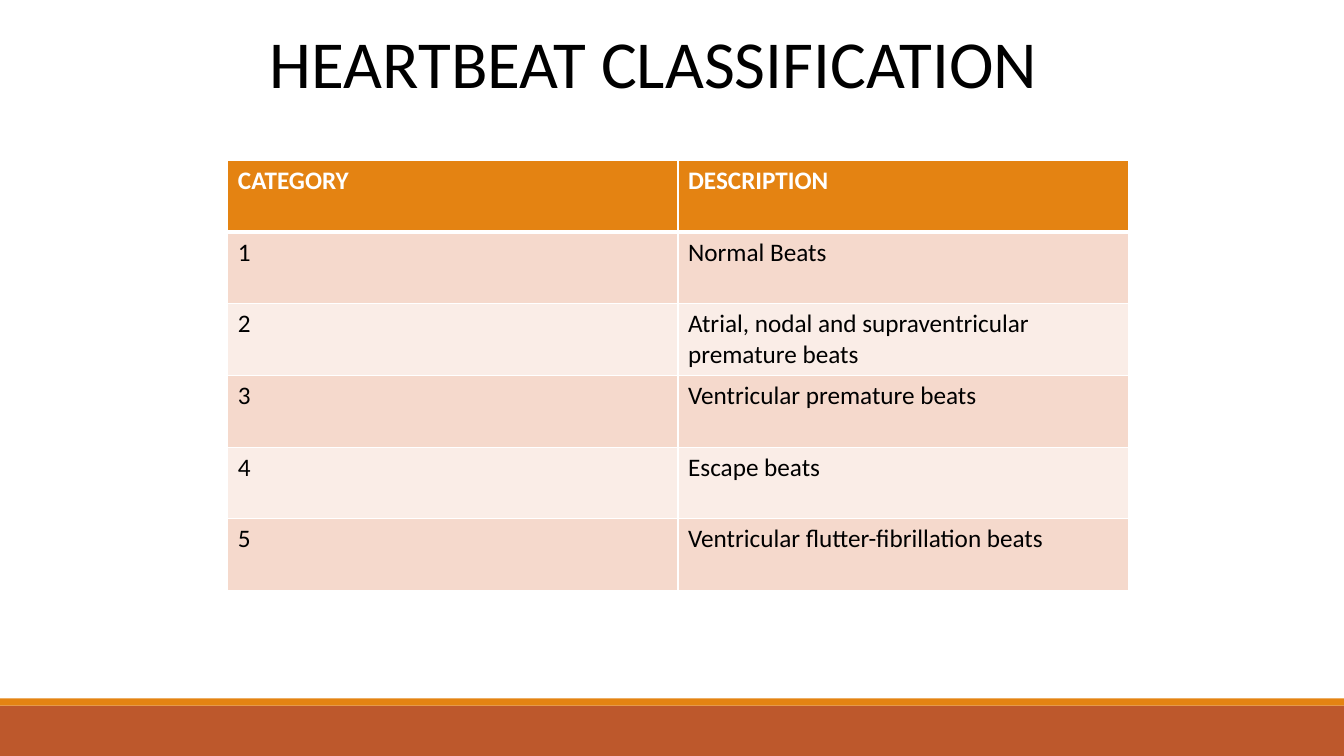
from pptx import Presentation
from pptx.dml.color import RGBColor
from pptx.enum.shapes import MSO_SHAPE
from pptx.enum.text import MSO_ANCHOR, PP_ALIGN
from pptx.oxml import parse_xml
from pptx.oxml.ns import nsdecls
from pptx.util import Inches, Pt

RECT = MSO_SHAPE.RECTANGLE
CENTER = PP_ALIGN.CENTER
MIDDLE = MSO_ANCHOR.MIDDLE

FONT = "Calibri"
ORANGE, RUST = "E48312", "BD582C"
BANDS = ("F5D9CC", "FAEDE7")
WHITE, BLACK = "FFFFFF", "000000"

BEATS = [
    ("CATEGORY", "DESCRIPTION"),
    ("1", "Normal Beats"),
    ("2", "Atrial, nodal and supraventricular premature beats"),
    ("3", "Ventricular premature beats"),
    ("4", "Escape beats"),
    ("5", "Ventricular flutter-fibrillation beats"),
]


def paint(fill, color):
    fill.solid()
    fill.fore_color.rgb = RGBColor.from_string(color)


def add_run(para, text, size, color, bold=False):
    run = para.add_run()
    run.text = text
    font = run.font
    font.name, font.size, font.bold = FONT, Pt(size), bold
    font.color.rgb = RGBColor.from_string(color)


def add_bar(slide, left, top, width, height, color):
    bar = slide.shapes.add_shape(
        RECT, Inches(left), Inches(top), Inches(width), Inches(height))
    bar.shadow.inherit = False
    paint(bar.fill, color)
    bar.line.fill.background()


def add_footer(slide, left, top, width, height):
    strip = 0.07
    add_bar(slide, left, top + strip, width, height - strip, RUST)
    add_bar(slide, left, top, width, strip, ORANGE)


def add_title(slide, left, top, width, height):
    title = slide.shapes.title
    title.left, title.top = Inches(left), Inches(top)
    title.width, title.height = Inches(width), Inches(height)
    frame = title.text_frame
    frame.word_wrap = True
    frame.vertical_anchor = MIDDLE
    para = frame.paragraphs[0]
    para.alignment = CENTER
    add_run(para, "HEARTBEAT CLASSIFICATION", 48, BLACK)


def add_edges(cell, top, bottom):
    props = cell._tc.get_or_add_tcPr()
    for side, width in (("L", 1), ("R", 1), ("T", top), ("B", bottom)):
        props.append(parse_xml(
            f'<a:ln{side} {nsdecls("a")} w="{Pt(width)}"><a:solidFill>'
            f'<a:srgbClr val="{WHITE}"/></a:solidFill></a:ln{side}>'))


def add_beats(slide, left, top, width, height):
    rows, cols = len(BEATS), len(BEATS[0])
    table = slide.shapes.add_table(
        rows, cols, Inches(left), Inches(top),
        Inches(width), Inches(height)).table
    for r, texts in enumerate(BEATS):
        head = r == 0
        for c, text in enumerate(texts):
            cell = table.cell(r, c)
            # Edges go before the fill in the cell properties
            add_edges(cell, 3 if r == 1 else 1, 3 if head else 1)
            paint(cell.fill, ORANGE if head else BANDS[(r - 1) % 2])
            add_run(cell.text_frame.paragraphs[0], text, 18,
                    WHITE if head else BLACK, head)


def main():
    deck = Presentation()
    deck.slide_width, deck.slide_height = Inches(13.33), Inches(7.5)
    slide = deck.slides.add_slide(deck.slide_layouts[5])
    paint(slide.background.fill, WHITE)

    # Footer bars, heading, table of beats
    add_footer(slide, 0, 6.93, 13.33, 0.57)
    add_title(slide, 1.68, 0.16, 9.61, 0.91)
    add_beats(slide, 2.26, 1.59, 8.93, 4.27)

    deck.save("out.pptx")


if __name__ == "__main__":
    main()
